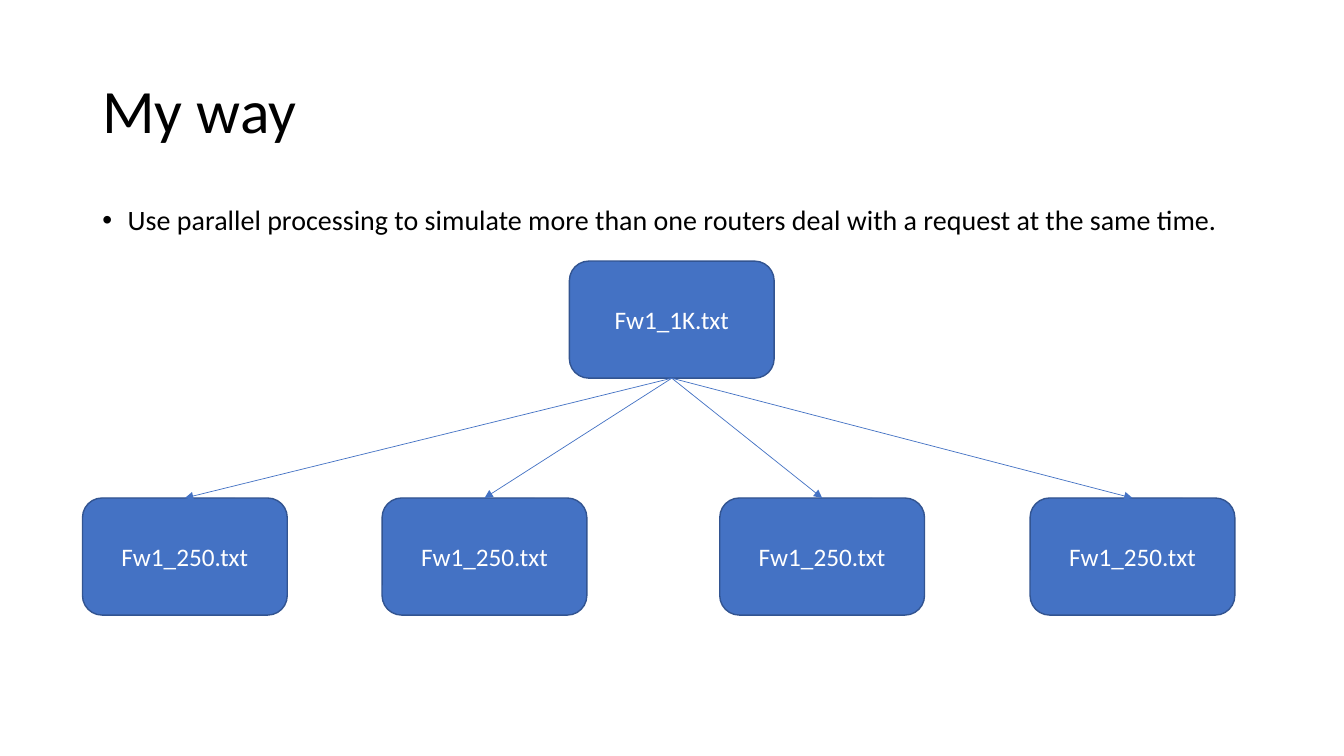
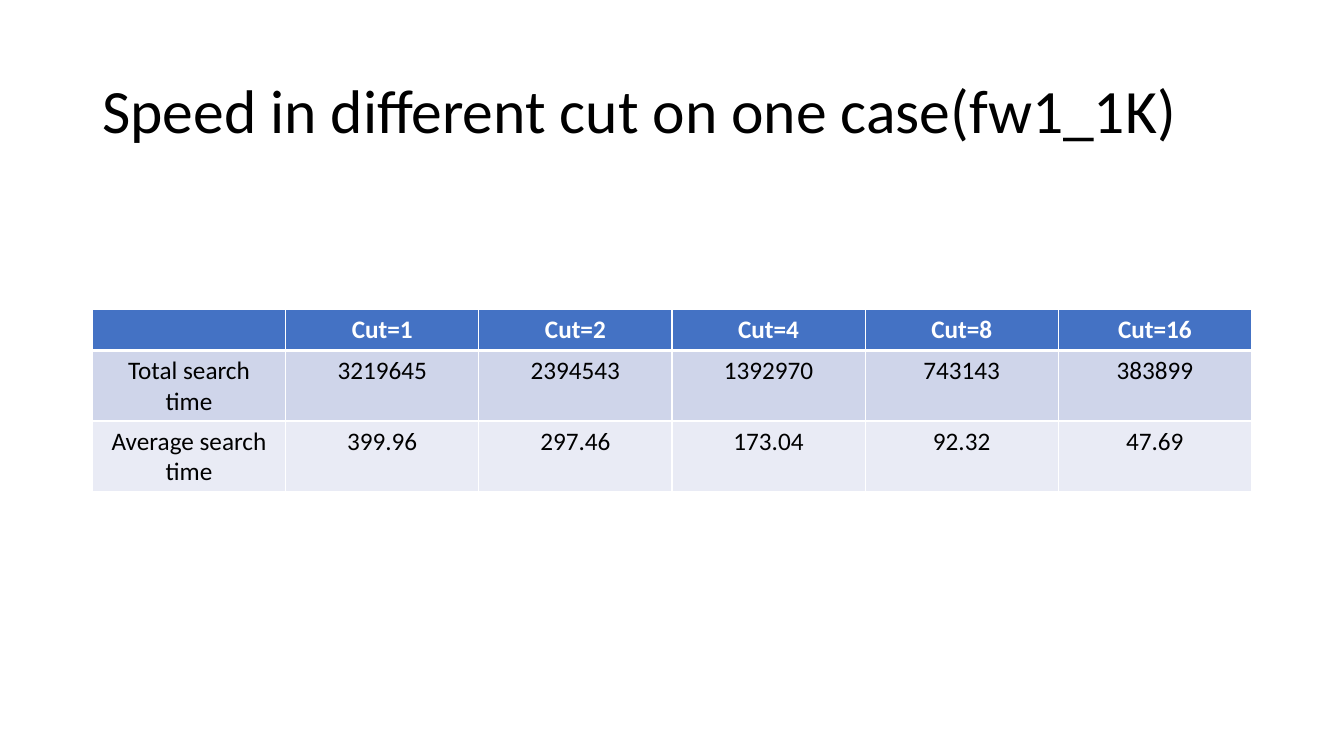
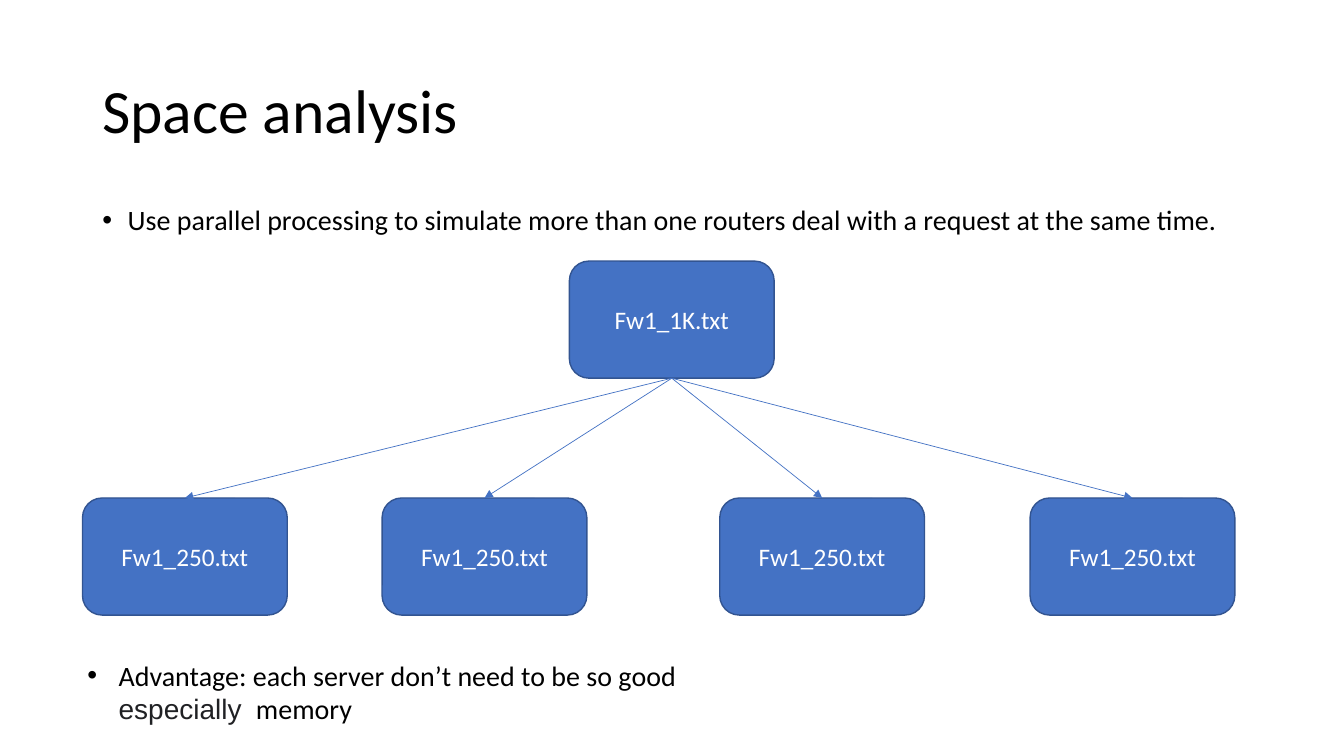
from collections import namedtuple
from dataclasses import dataclass

from lxml.etree import SubElement
from pptx import Presentation
from pptx.dml.color import RGBColor
from pptx.enum.shapes import MSO_CONNECTOR as Connector, MSO_SHAPE as Preset
from pptx.enum.text import MSO_ANCHOR as Anchor, MSO_AUTO_SIZE as AutoSize, PP_ALIGN as Align
from pptx.oxml.ns import qn
from pptx.util import Cm, Pt

Box = namedtuple("Box", "left top width height")


@dataclass(frozen=True)
class Theme:
    """Colours, fonts and sizes shared by all slides."""
    black: RGBColor = RGBColor(0x00, 0x00, 0x00)
    white: RGBColor = RGBColor(0xFF, 0xFF, 0xFF)
    charcoal: RGBColor = RGBColor(0x20, 0x21, 0x24)
    blue: RGBColor = RGBColor(0x44, 0x72, 0xC4)
    outline: RGBColor = RGBColor(0x32, 0x54, 0x91)
    bands: tuple = (RGBColor(0xCF, 0xD5, 0xEA), RGBColor(0xE9, 0xEB, 0xF5))
    font: str = "Calibri"
    alternate_font: str = "Arial"
    title_size: Pt = Pt(44)
    body_size: Pt = Pt(20)
    label_size: Pt = Pt(18)
    tight: float = 0.9


THEME = Theme()
TITLE_BOX = Box(Cm(2.33), Cm(1.02), Cm(29.21), Cm(3.68))
BODY_BOX = Box(Cm(2.33), Cm(5.08), Cm(29.21), Cm(12.09))
DIAGRAM_BOX = Box(Cm(2.08), Cm(6.58), Cm(29.04), Cm(8.92))
TABLE_BOX = Box(Cm(2.33), Cm(7.8), Cm(29.21), Cm(4.59))
NOTE_BOX = Box(Cm(1.95), Cm(16.46), Cm(31.4), Cm(1.96))

FILE_WIDTH, FILE_HEIGHT = Cm(5.16), Cm(2.95)
PART_OFFSETS = (Cm(0), Cm(7.55), Cm(16.06), Cm(23.88))
HEADER_HEIGHT = Cm(1.03)

PARALLEL_TEXT = ("Use parallel processing to simulate more than one routers "
                 "deal with a request at the same time.")
SEARCH_TIMES = (
    ("", "Cut=1", "Cut=2", "Cut=4", "Cut=8", "Cut=16"),
    ("Total search time", "3219645", "2394543", "1392970", "743143", "383899"),
    ("Average search time", "399.96", "297.46", "173.04", "92.32", "47.69"),
)


def style(font, size, color, bold=False):
    """Apply the theme font with a size and colour."""
    font.name, font.size, font.bold = THEME.font, size, bold
    font.color.rgb = color


def add_bullet(paragraph, indent):
    """Give a paragraph a hanging round bullet."""
    properties = paragraph._p.get_or_add_pPr()
    properties.set("marL", str(indent))
    properties.set("indent", str(-indent))
    SubElement(properties, qn("a:buFont"), typeface=THEME.alternate_font)
    SubElement(properties, qn("a:buChar"), char="•")


def add_text_frame(slide, box):
    """Add a wrapping text area and return its frame."""
    frame = slide.shapes.add_textbox(*box).text_frame
    frame.word_wrap = True
    return frame


def add_title(slide, box, wording):
    """Place the slide title, centred vertically in its box."""
    frame = add_text_frame(slide, box)
    frame.vertical_anchor = Anchor.MIDDLE
    title = frame.paragraphs[0]
    title.text = wording
    title.line_spacing = THEME.tight
    style(title.font, THEME.title_size, THEME.black)


def add_body(slide, box, wording):
    """Place a single bulleted statement."""
    statement = add_text_frame(slide, box).paragraphs[0]
    statement.text = wording
    add_bullet(statement, Cm(0.64))
    statement.line_spacing = THEME.tight
    statement.space_before = Pt(10)
    style(statement.font, THEME.body_size, THEME.black)


def add_file(slide, left, top, name):
    """Draw one rounded file box and return it."""
    file = slide.shapes.add_shape(Preset.ROUNDED_RECTANGLE, left, top, FILE_WIDTH, FILE_HEIGHT)
    file.shadow.inherit = False
    file.fill.solid()
    file.fill.fore_color.rgb = THEME.blue
    file.line.color.rgb = THEME.outline
    file.line.width = Pt(1)
    file.text_frame.vertical_anchor = Anchor.MIDDLE
    label = file.text_frame.paragraphs[0]
    label.text = name
    label.alignment = Align.CENTER
    style(label.font, THEME.label_size, THEME.white)
    return file


def add_arrow(slide, source, target):
    """Join the bottom of one file to the top of another."""
    arrow = slide.shapes.add_connector(Connector.STRAIGHT, 0, 0, 0, 0)
    arrow.begin_connect(source, 2)
    arrow.end_connect(target, 0)
    arrow.line.color.rgb = THEME.blue
    arrow.line.width = Pt(0.5)
    SubElement(arrow.line._get_or_add_ln(), qn("a:tailEnd"), type="triangle")
    SubElement(arrow._element.spPr, qn("a:effectLst"))


def add_split_diagram(slide, box):
    """Show the whole file above the parts it is split into."""
    whole_left = box.left + Cm(12.27)
    parts_top = box.top + box.height - FILE_HEIGHT
    whole = add_file(slide, whole_left, box.top, "Fw1_1K.txt")
    parts = [add_file(slide, box.left + offset, parts_top, "Fw1_250.txt")
             for offset in PART_OFFSETS]
    for part in parts:
        add_arrow(slide, whole, part)


def add_borders(cell, top, bottom):
    """Draw white cell borders, with the top and bottom widths in points."""
    properties = cell._tc.get_or_add_tcPr()
    for side, width in (("L", 1), ("R", 1), ("T", top), ("B", bottom)):
        border = SubElement(properties, qn(f"a:ln{side}"), w=str(Pt(width)))
        fill = SubElement(border, qn("a:solidFill"))
        SubElement(fill, qn("a:srgbClr"), val=str(THEME.white))


def add_search_table(slide, box, rows):
    """Build the timing table with a header and banded rows."""
    columns = len(rows[0])
    table = slide.shapes.add_table(len(rows), columns, *box).table
    for column in table.columns:
        column.width = box.width // columns
    for index, values in enumerate(rows):
        header = index == 0
        table.rows[index].height = (
            HEADER_HEIGHT if header else (box.height - HEADER_HEIGHT) // (len(rows) - 1))
        for cell, value in zip(table.rows[index].cells, values):
            add_borders(cell, top=3 if index == 1 else 1, bottom=3 if header else 1)
            cell.fill.solid()
            cell.fill.fore_color.rgb = THEME.blue if header else THEME.bands[index - 1]
            entry = cell.text_frame.paragraphs[0]
            entry.text = value
            entry.alignment = Align.CENTER
            style(entry.font, THEME.label_size, THEME.white if header else THEME.black, header)


def add_advantage(slide, box):
    """Place the closing remark, with one word in the alternate font."""
    frame = add_text_frame(slide, box)
    frame.auto_size = AutoSize.SHAPE_TO_FIT_TEXT
    remark = frame.paragraphs[0]
    add_bullet(remark, Cm(0.79))
    for wording, face, color in (
            ("Advantage: each server don’t need to be so good\v", THEME.font, THEME.black),
            ("especially ", THEME.alternate_font, THEME.charcoal),
            (" memory", THEME.font, THEME.black)):
        run = remark.add_run()
        run.text = wording.rstrip("\v")
        style(run.font, THEME.body_size, color)
        run.font.name = face
        if wording.endswith("\v"):
            remark.add_line_break()


def add_slide(deck, title):
    """Add a blank slide with the shared title."""
    slide = deck.slides.add_slide(deck.slide_layouts[6])
    add_title(slide, TITLE_BOX, title)
    return slide


def add_split_slide(deck, title):
    """Add a slide that explains how the file is split."""
    slide = add_slide(deck, title)
    add_body(slide, BODY_BOX, PARALLEL_TEXT)
    add_split_diagram(slide, DIAGRAM_BOX)
    return slide


def main():
    """Build and save the deck."""
    deck = Presentation()
    deck.slide_width, deck.slide_height = Cm(33.87), Cm(19.05)
    add_split_slide(deck, "My way")
    speed = add_slide(deck, "Speed in different cut on one case(fw1_1K)")
    add_search_table(speed, TABLE_BOX, SEARCH_TIMES)
    space = add_split_slide(deck, "Space analysis")
    add_advantage(space, NOTE_BOX)
    deck.save("out.pptx")


main()
